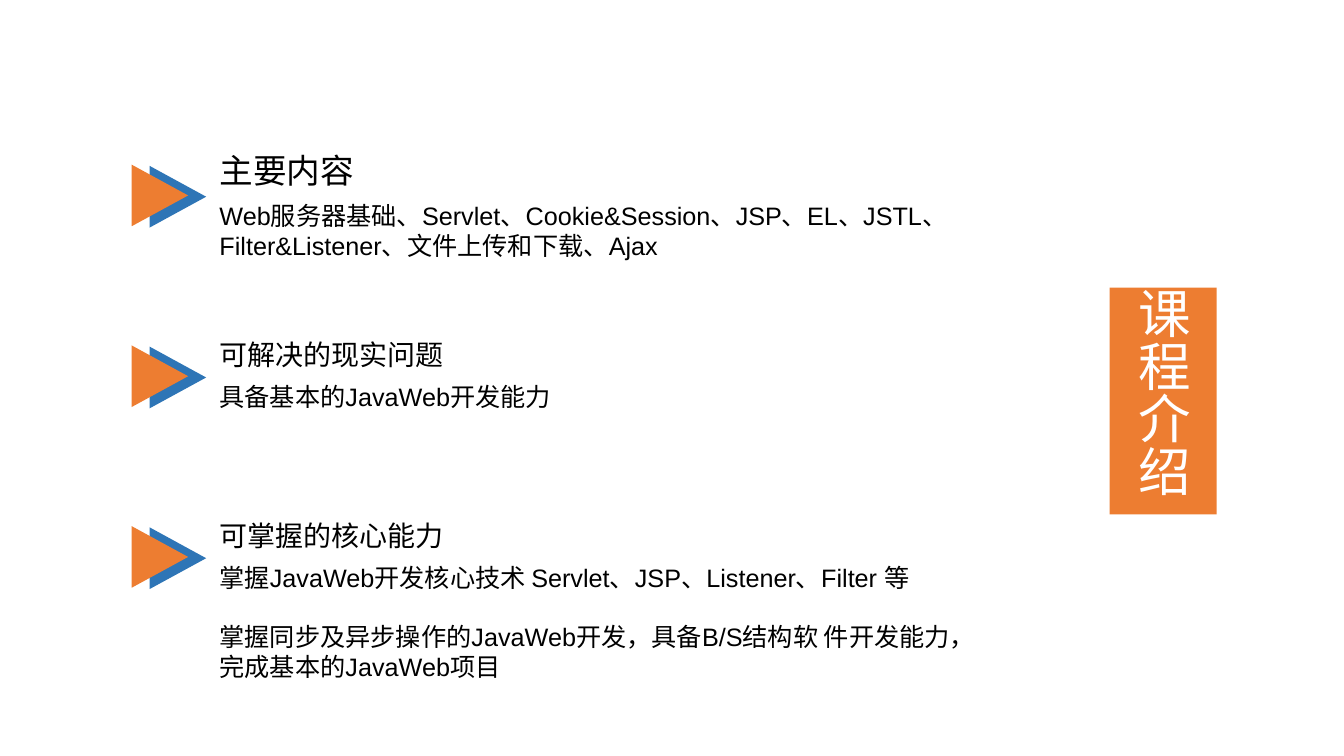
from pptx import Presentation
from pptx.dml.color import RGBColor
from pptx.enum.shapes import MSO_SHAPE
from pptx.enum.text import MSO_ANCHOR, PP_ALIGN
from pptx.util import Pt

ORANGE = RGBColor(0xED, 0x7D, 0x31)
BLUE = RGBColor(0x2E, 0x75, 0xB6)
BLACK = RGBColor(0, 0, 0)
WHITE = RGBColor(0xFF, 0xFF, 0xFF)
FONT = "Arial"

TOPIC_LEFT, TOPIC_TOP, TOPIC_STEP = 92.2, 94.6, 129.1
TOPICS = [
    ("主要内容", 24, 45,
     ["Web服务器基础、Servlet、Cookie&Session、JSP、EL、JSTL、 "
      "Filter&Listener、文件上传和下载、Ajax"]),
    ("可解决的现实问题", 20, 45, ["具备基本的JavaWeb开发能力"]),
    ("可掌握的核心能力", 20, 90,
     ["掌握JavaWeb开发核心技术 Servlet、JSP、Listener、Filter 等",
      "掌握同步及异步操作的JavaWeb开发，具备B/S结构软 件开发能力，完成基本的JavaWeb项目"]),
]


def style(paragraph, size, color):
    paragraph.font.name = FONT
    paragraph.font.size = Pt(size)
    paragraph.font.color.rgb = color


def add_solid(slide, preset, left, top, width, height, color):
    solid = slide.shapes.add_shape(preset, Pt(left), Pt(top), Pt(width), Pt(height))
    solid.shadow.inherit = False
    solid.fill.solid()
    solid.fill.fore_color.rgb = color
    solid.line.fill.background()
    return solid


def add_text(slide, left, top, width, height, lines, size, anchor):
    frame = slide.shapes.add_textbox(Pt(left), Pt(top), Pt(width), Pt(height)).text_frame
    frame.word_wrap = True
    frame.vertical_anchor = anchor
    for index, line in enumerate(lines):
        paragraph = frame.add_paragraph() if index else frame.paragraphs[0]
        paragraph.text = line
        style(paragraph, size, BLACK)
        if index:
            paragraph.space_before = Pt(21)


def add_banner(slide, left, top, width, height, title):
    banner = add_solid(slide, MSO_SHAPE.RECTANGLE, left, top, width, height, ORANGE)
    frame = banner.text_frame
    frame.word_wrap = True
    frame.vertical_anchor = MSO_ANCHOR.MIDDLE
    # Without margins the title fits in one column
    frame.margin_left = frame.margin_right = Pt(0)
    frame.margin_top = frame.margin_bottom = Pt(0)
    # Characters run from top to bottom
    frame._txBody.bodyPr.set("vert", "eaVert")
    paragraph = frame.paragraphs[0]
    paragraph.text = title
    paragraph.alignment = PP_ALIGN.CENTER
    style(paragraph, 37.5, WHITE)


def add_topic(slide, left, top, heading, heading_size, body_height, body):
    # Double arrow
    for dx, dy, color in ((12.9, 25.8, BLUE), (0, 24.9, ORANGE)):
        arrow = add_solid(slide, MSO_SHAPE.ISOSCELES_TRIANGLE,
                          left + dx, top + dy, 44, 40.3, color)
        arrow.rotation = 90
    # Heading and description
    text_left = left + 57.5
    add_text(slide, text_left, top, 558, 45, [heading], heading_size, MSO_ANCHOR.BOTTOM)
    add_text(slide, text_left, top + 45, 558, body_height, body, 18, MSO_ANCHOR.TOP)


def main():
    presentation = Presentation()
    presentation.slide_width, presentation.slide_height = Pt(960), Pt(540)
    slide = presentation.slides.add_slide(presentation.slide_layouts[6])
    add_banner(slide, 792.7, 205.4, 76.3, 162, "课程介绍")
    for row, (heading, size, body_height, body) in enumerate(TOPICS):
        add_topic(slide, TOPIC_LEFT, TOPIC_TOP + row * TOPIC_STEP,
                  heading, size, body_height, body)
    presentation.save("out.pptx")


if __name__ == "__main__":
    main()
